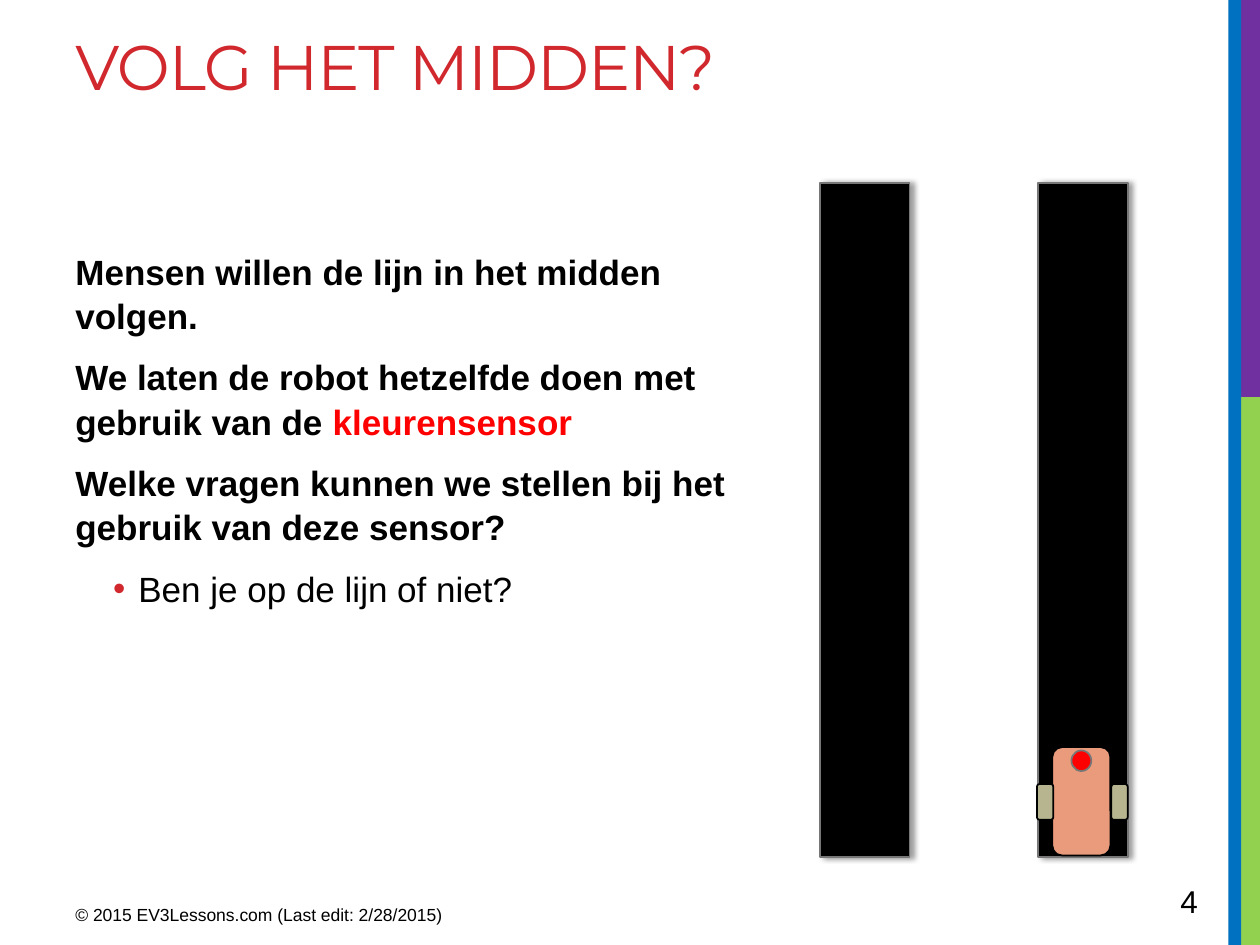
from lxml import etree
from pptx import Presentation
from pptx import util as u
from pptx.dml.color import RGBColor
from pptx.enum import shapes, text
from pptx.oxml import ns

BLACK = RGBColor(0, 0, 0)
RED = RGBColor(0xFF, 0, 0)
CRIMSON = RGBColor(0xD1, 0x28, 0x2E)
GREY = RGBColor(0x77, 0x77, 0x77)
GREEN = RGBColor(0x92, 0xD0, 0x50)
PURPLE = RGBColor(0x70, 0x30, 0xA0)
BLUE = RGBColor(0, 0x70, 0xC0)
SALMON = RGBColor(0xEA, 0x9B, 0x7C)
KHAKI = RGBColor(0xB6, 0xB5, 0x90)

COLUMNS, ROWS = 100, 75
CELL = u.Inches(0.1)
RECTANGLE = shapes.MSO_SHAPE.RECTANGLE
ROUNDED = shapes.MSO_SHAPE.ROUNDED_RECTANGLE
OVAL = shapes.MSO_SHAPE.OVAL

TITLE = {"name": "Montserrat", "size": u.Pt(36)}
BODY = {"name": "Arial", "size": u.Pt(20)}
STRONG = {**BODY, "bold": True}
FOOTER = {"name": "Arial", "size": u.Pt(10)}
NUMBER = {"name": "Arial", "size": u.Pt(18)}
STATEMENTS = [
    [("Mensen willen de lijn in het midden volgen.", BLACK)],
    [("We laten de robot hetzelfde doen met gebruik van de ", BLACK), ("kleurensensor", RED)],
    [("Welke vragen kunnen we stellen bij het gebruik van deze sensor?", BLACK)],
]
ANSWER = "Ben je op de lijn of niet?"


def inside(box, left, top, width, height):
    """Return the part of a box given by shares of its size."""
    return (box[0] + left * box[2], box[1] + top * box[3], width * box[2], height * box[3])


def emu(box):
    """Turn grid cells into lengths."""
    return [u.Emu(round(value * CELL)) for value in box]


def apply(target, values):
    """Set attributes from a dict of values."""
    for name, value in values.items():
        setattr(target, name, value)


def add_block(parent, box, kind, fill, line=None):
    """Add a filled shape with an optional outline."""
    shape = parent.add_shape(kind, *emu(box))
    shape.shadow.inherit = False
    shape.fill.solid()
    shape.fill.fore_color.rgb = fill
    if line is None:
        shape.line.fill.background()
    else:
        shape.line.color.rgb = line
        shape.line.width = u.Pt(1)
    return shape


def add_run(paragraph, words, color, font):
    """Add a run of text in one font and colour."""
    run = paragraph.add_run()
    run.text = words
    apply(run.font, font)
    run.font.color.rgb = color
    return run


def add_frame(slide, box, anchor=text.MSO_ANCHOR.TOP):
    """Add a wrapping text box and return its frame."""
    frame = slide.shapes.add_textbox(*emu(box)).text_frame
    apply(frame, {"word_wrap": True, "vertical_anchor": anchor})
    return frame


def add_label(slide, box, words, color, font, anchor):
    """Add a text box of one run and return the run."""
    return add_run(add_frame(slide, box, anchor).paragraphs[0], words, color, font)


def add_bullet(paragraph, color):
    """Indent a paragraph and give it a coloured bullet."""
    properties = paragraph._p.get_or_add_pPr()
    properties.set("marL", str(u.Inches(0.5)))
    properties.set("indent", str(-u.Inches(0.2)))
    bullet_color = etree.SubElement(properties, ns.qn("a:buClr"))
    etree.SubElement(bullet_color, ns.qn("a:srgbClr"), val=str(color))
    etree.SubElement(properties, ns.qn("a:buFont"), typeface="Arial")
    etree.SubElement(properties, ns.qn("a:buChar"), char="•")


def add_shadow(shape):
    """Give a shape a soft shadow to the right."""
    effects = shape._element.spPr.find(ns.qn("a:effectLst"))
    shadow = etree.SubElement(effects, ns.qn("a:outerShdw"), blurRad=str(u.Pt(3.1)),
                              dist=str(u.Pt(1.8)), dir="0", rotWithShape="0")
    color = etree.SubElement(shadow, ns.qn("a:srgbClr"), val=str(BLACK))
    etree.SubElement(color, ns.qn("a:alpha"), val="40000")


def draw_side_bands(slide, box):
    """Draw the coloured bands along the right edge."""
    split = 0.42
    add_block(slide.shapes, inside(box, 0.36, split, 0.64, 1 - split), RECTANGLE, GREEN)
    add_block(slide.shapes, inside(box, 0.2, 0, 0.8, split), RECTANGLE, PURPLE)
    add_block(slide.shapes, inside(box, 0, 0, 0.4, 1), RECTANGLE, BLUE)


def draw_body(slide, box):
    """Write the statements and the bulleted answer."""
    frame = add_frame(slide, box)
    for index, parts in enumerate(STATEMENTS + [[(ANSWER, BLACK)]]):
        is_answer = index == len(STATEMENTS)
        paragraph = frame.add_paragraph() if index else frame.paragraphs[0]
        apply(paragraph, {"line_spacing": 1.05, "space_before": u.Pt(4 if index else 0),
                          "space_after": u.Pt(6)})
        if is_answer:
            paragraph.level = 1
            add_bullet(paragraph, CRIMSON)
        for words, color in parts:
            add_run(paragraph, words, color, BODY if is_answer else STRONG)


def draw_line(slide, box):
    """Draw a black line for the robot to follow."""
    add_shadow(add_block(slide.shapes, box, RECTANGLE, BLACK, GREY))


def draw_robot(slide, box):
    """Draw the robot with two wheels and a sensor."""
    robot = slide.shapes.add_group_shape().shapes
    add_block(robot, inside(box, 0.17, 0, 0.64, 1), ROUNDED, SALMON, BLACK)
    for left in (0.82, 0):
        add_block(robot, inside(box, left, 0.34, 0.18, 0.33), ROUNDED, KHAKI, BLACK)
    add_block(robot, inside(box, 0.38, 0.03, 0.22, 0.19), OVAL, RED, GREY)


def main():
    """Build the slide and save it."""
    presentation = Presentation()
    apply(presentation, {"slide_width": COLUMNS * CELL, "slide_height": ROWS * CELL})
    slide = presentation.slides.add_slide(presentation.slide_layouts[6])
    draw_side_bands(slide, (97.5, 0, 2.5, ROWS))
    anchors = text.MSO_ANCHOR
    title = add_label(slide, (5, 1.7, 90.2, 15), "VOLG HET MIDDEN?", CRIMSON, TITLE, anchors.TOP)
    title._r.get_or_add_rPr().set("spc", "-60")
    draw_body(slide, (5, 19.2, 57, 47.8))
    add_label(slide, (5, 71, 37.5, 3.1), "© 2015 EV3Lessons.com (Last edit: 2/28/2015)",
              BLACK, FOOTER, anchors.MIDDLE)
    add_label(slide, (92.7, 69.5, 7.3, 4), "4", BLACK, NUMBER, anchors.BOTTOM)
    for left in (65.1, 82.4):
        draw_line(slide, (left, 14.5, 7.1, 53.5))
    draw_robot(slide, (82.3, 59.3, 7.2, 8.6))
    presentation.save("out.pptx")


if __name__ == "__main__":
    main()
